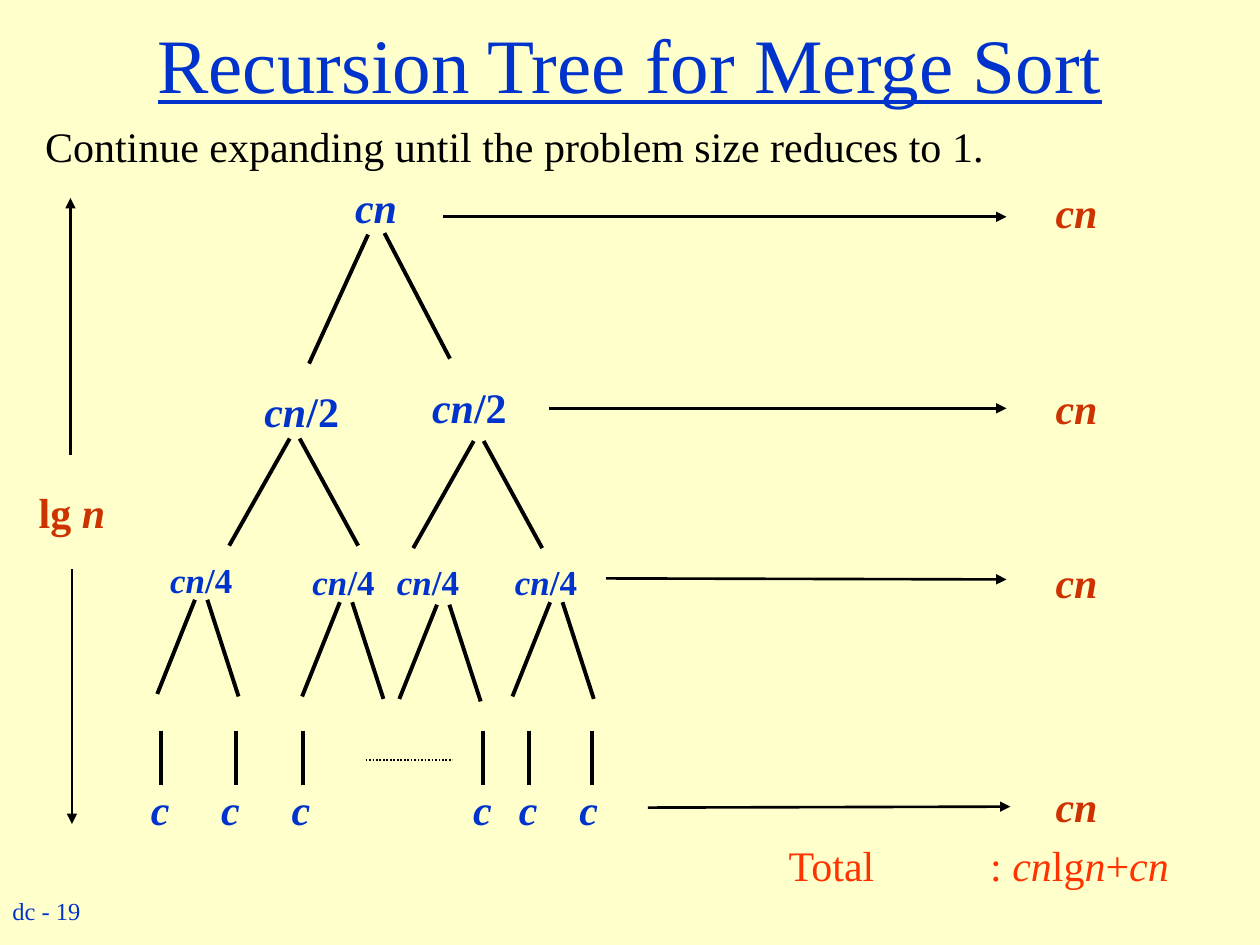
from pptx import Presentation
from pptx.dml.color import RGBColor
from pptx.enum.dml import MSO_LINE
from pptx.enum.shapes import MSO_CONNECTOR
from pptx.enum.text import MSO_ANCHOR, MSO_AUTO_SIZE, PP_ALIGN
from pptx.oxml.ns import qn
from pptx.util import Cm, Pt
from lxml.etree import SubElement

COLORS = {
    "background": "FFFFCC",
    "blue": "0033CC",
    "cost": "CC3300",
    "total": "FF3300",
    "black": "000000",
}
FONT = "Times New Roman"


def add_text(shapes, text, left, top, width, height=1.27, size=24, color="blue",
             bold=False, underline=False, title=False, tab=None):
    """Place a text box; parts of the text between asterisks are italic."""
    shape = shapes.add_textbox(Cm(left), Cm(top), Cm(width), Cm(height))
    frame = shape.text_frame
    frame.word_wrap = True
    frame.auto_size = MSO_AUTO_SIZE.NONE if title else MSO_AUTO_SIZE.SHAPE_TO_FIT_TEXT
    paragraph = frame.paragraphs[0]
    if title:
        frame.vertical_anchor = MSO_ANCHOR.MIDDLE
        paragraph.alignment = PP_ALIGN.CENTER
    if tab:
        stops = SubElement(paragraph._p.get_or_add_pPr(), qn("a:tabLst"))
        SubElement(stops, qn("a:tab"), pos=str(Cm(tab)), algn="l")
    for index, part in enumerate(text.split("*")):
        if not part:
            continue
        run = paragraph.add_run()
        run.text = part
        font = run.font
        font.name, font.size = FONT, Pt(size)
        font.bold, font.italic, font.underline = bold, index % 2 == 1, underline
        font.color.rgb = RGBColor.from_string(COLORS[color])
    return shape


def add_line(shapes, x1, y1, x2, y2, width=2.25, arrow=False, dash=None):
    connector = shapes.add_connector(
        MSO_CONNECTOR.STRAIGHT, Cm(x1), Cm(y1), Cm(x2), Cm(y2))
    connector.line.color.rgb = RGBColor.from_string(COLORS["black"])
    connector.line.width = Pt(width)
    if dash:
        connector.line.dash_style = dash
    properties = connector._element.spPr
    if arrow:
        SubElement(properties.find(qn("a:ln")), qn("a:tailEnd"), type="triangle")
    SubElement(properties, qn("a:effectLst"))
    return connector


def add_heading(shapes, left, top, width):
    add_text(shapes, "Recursion Tree for Merge Sort", left, top, width, 2.54,
             size=44, underline=True, title=True)
    add_text(shapes, "Continue expanding until the problem size reduces to 1.",
             left + 0.66, top + 2.31, 19.5, color="black")


def add_tree(shapes, left, top):
    # Each level: label, label width and height, text size,
    # the two branches from a fork, and (label x, label y, fork x, fork y) per node
    levels = [
        ("*cn*", 1.4, 1.27, 24,
         [(0, 0, -1.19, 2.6), (0.33, -0.03, 1.65, 2.5)],
         [(4.12, 0, 4.63, 1.2)]),
        ("*cn*/2", 2.05, 1.27, 24,
         [(0, 0, -1.22, 2.16), (0.2, 0, 1.38, 2.16)],
         [(2.29, 4.12, 3.05, 5.31), (5.67, 4.04, 6.76, 5.36)]),
        ("*cn*/4", 1.8, 1.12, 20,
         [(0, 0, -0.76, 1.9), (0.25, 0, 0.88, 1.95)],
         [(0.39, 7.6, 1.14, 8.56), (3.26, 7.65, 4.06, 8.61),
          (4.96, 7.65, 6.02, 8.66), (7.34, 7.65, 8.3, 8.61)]),
    ]
    for label, width, height, size, branches, nodes in levels:
        for label_x, label_y, fork_x, fork_y in nodes:
            add_text(shapes, label, left + label_x, top + label_y, width, height,
                     size=size, bold=True)
            x, y = left + fork_x, top + fork_y
            for x1, y1, x2, y2 in branches:
                add_line(shapes, x + x1, y + y1, x + x2, y + y2)

    # Leaves: (stem x, label x)
    leaves = [(0.46, 0), (1.96, 1.42), (3.31, 2.84),
              (6.94, 6.5), (7.88, 7.42), (9.15, 8.64)]
    for stem_x, label_x in leaves:
        add_line(shapes, left + stem_x, top + 11.2, left + stem_x, top + 12.29)
        add_text(shapes, "*c*", left + label_x, top + 12.14, 0.89, bold=True)

    # Leaves left out
    add_line(shapes, left + 4.58, top + 11.79, left + 6.33, top + 11.79,
             width=1, dash=MSO_LINE.ROUND_DOT)


def add_level_costs(shapes, left, top):
    # Each row: arrow start x, start y, end x, end y, label y
    rows = [
        (0, 0.74, 11.35, 0.74, 0),
        (2.13, 4.6, 11.35, 4.6, 3.96),
        (3.28, 8.03, 11.35, 8.05, 7.47),
        (4.12, 12.65, 11.43, 12.63, 11.97),
    ]
    for x1, y1, x2, y2, label_y in rows:
        add_line(shapes, left + x1, top + y1, left + x2, top + y2,
                 width=1.5, arrow=True)
        add_text(shapes, "*cn*", left + 12.09, top + label_y, 1.4,
                 color="cost", bold=True)
    add_text(shapes, "Total\t: *cn*lg*n*+*cn*", left + 6.71, top + 13.16, 8.3,
             color="total", tab=4.06)


def add_depth(shapes, left, top, height):
    add_line(shapes, left + 0.89, top + 5.18, left + 0.89, top, width=1.5, arrow=True)
    add_text(shapes, "lg *n*", left, top + 5.69, 1.95, color="cost", bold=True)
    add_line(shapes, left + 0.92, top + 7.49, left + 0.92, top + height,
             width=1.5, arrow=True)


def add_footer(shapes, left, top):
    add_text(shapes, "dc - 19", left, top, 3.45, 0.86, size=14)


def main():
    presentation = Presentation()
    presentation.slide_width, presentation.slide_height = Cm(25.4), Cm(19.05)
    slide = presentation.slides.add_slide(presentation.slide_layouts[6])
    slide.background.fill.solid()
    slide.background.fill.fore_color.rgb = RGBColor.from_string(COLORS["background"])

    add_footer(slide.shapes, 0, 17.93)
    add_heading(slide.shapes, 0, 0, 25.4)
    tree = slide.shapes.add_group_shape()
    add_tree(tree.shapes, 2.79, 3.53)
    add_level_costs(slide.shapes, 8.94, 3.63)
    add_depth(slide.shapes, 0.53, 3.99, 12.62)
    presentation.save("out.pptx")


if __name__ == "__main__":
    main()
